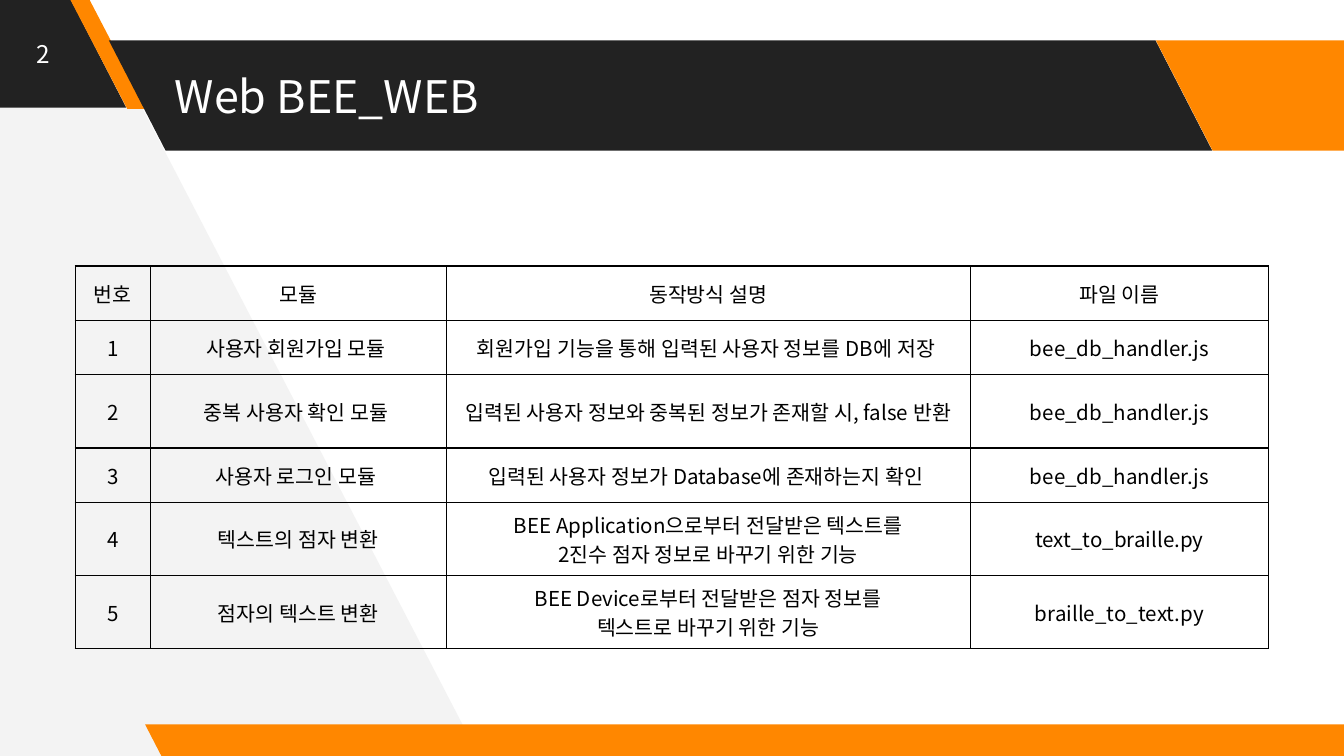
import pptx
import pptx.util
from lxml import etree
from pptx.dml.color import RGBColor
from pptx.enum.shapes import MSO_SHAPE
from pptx.enum.text import MSO_ANCHOR, MSO_AUTO_SIZE, PP_ALIGN
from pptx.oxml.ns import qn
from pptx.util import Inches

FONT = "Noto Sans CJK KR"
BLACK = RGBColor(0x00, 0x00, 0x00)
WHITE = RGBColor(0xFF, 0xFF, 0xFF)
DARK = RGBColor(0x22, 0x22, 0x22)
ORANGE = RGBColor(0xFF, 0x87, 0x00)
PALE = RGBColor(0xF3, 0xF3, 0xF3)

TITLE = "Web BEE_WEB"
NUMBER = "2"
HEADS = ["번호", "모듈", "동작방식 설명", "파일 이름"]
MODULES = [
    ("사용자 회원가입 모듈 ", "회원가입 기능을 통해 입력된 사용자 정보를 DB에 저장 ",
     "bee_db_handler.js"),
    ("중복 사용자 확인 모듈 ", "입력된 사용자 정보와 중복된 정보가 존재할 시, false 반환",
     "bee_db_handler.js"),
    ("사용자 로그인 모듈 ", "입력된 사용자 정보가 Database에 존재하는지 확인 ",
     "bee_db_handler.js"),
    ("텍스트의 점자 변환",
     "BEE Application으로부터 전달받은 텍스트를\n 2진수 점자 정보로 바꾸기 위한 기능 ",
     "text_to_braille.py"),
    ("점자의 텍스트 변환",
     "BEE Device로부터 전달받은 점자 정보를\n 텍스트로 바꾸기 위한 기능 ",
     "braille_to_text.py"),
]
COLS = [0.56, 2.2, 3.9, 2.22]
ROW = 2.43 / 6

WEDGE = [(3.56, 5.62), (0.62, -0.04), (-0.06, -0.04), (-0.02, 5.66)]
# left, top, width, height, slant, colour
BANDS = [
    (-0.99, -0.02, 1.93, 0.82, 0.515, DARK),
    (0.52, -0.01, 0.57, 0.82, 0.75, ORANGE),
    (0.81, 0.3, 8.21, 0.82, 0.515, DARK),
    (8.6, 0.3, 1.92, 0.82, 0.515, ORANGE),
    (1.08, 5.39, 9.15, 0.25, 0.515, ORANGE),
]


def paint(shape, color):
    shape.fill.solid()
    shape.fill.fore_color.rgb = color
    shape.line.fill.background()
    shape.shadow.inherit = False


def write(frame, text, size, color, align):
    frame.text = text
    for para in frame.paragraphs:
        para.alignment = align
        para.font.size = pptx.util.Pt(size)
        para.font.color.rgb = color
        para.font.name = FONT
        # Hangul takes the East Asian typeface
        latin = para._p.pPr.find(".//" + qn("a:latin"))
        east = etree.Element(qn("a:ea"), typeface=FONT)
        latin.addnext(east)


def pad(frame):
    frame.word_wrap = True
    frame.auto_size = MSO_AUTO_SIZE.NONE
    frame.vertical_anchor = MSO_ANCHOR.MIDDLE
    frame.margin_left = frame.margin_right = Inches(0.1)
    frame.margin_top = frame.margin_bottom = Inches(0.1)


def outline(cell):
    """Draw a thin black border on all four sides."""
    props = cell._tc.get_or_add_tcPr()
    for spot, side in enumerate(("a:lnL", "a:lnR", "a:lnT", "a:lnB")):
        line = etree.Element(qn(side), w=str(pptx.util.Pt(0.75)))
        fill = etree.SubElement(line, qn("a:solidFill"))
        etree.SubElement(fill, qn("a:srgbClr"), val=str(BLACK))
        props.insert(spot, line)


deck = pptx.Presentation()
deck.slide_width = Inches(10)
deck.slide_height = deck.slide_width * 9 // 16
slide = deck.slides.add_slide(deck.slide_layouts[5])
shapes = slide.shapes
title = shapes.title

points = [(Inches(x), Inches(y)) for x, y in WEDGE]
path = shapes.build_freeform(*points[0])
path.add_line_segments(points[1:], close=True)
paint(path.convert_to_shape(), PALE)

for *place, slant, color in BANDS:
    band = shapes.add_shape(MSO_SHAPE.PARALLELOGRAM, *map(Inches, place))
    band.adjustments[0] = slant
    band.element.spPr.xfrm.set("flipH", "1")
    paint(band, color)

shapes.element.append(title.element)  # bring the title above the bands
title.left, title.top = Inches(1.2), Inches(0.3)
title.width, title.height = Inches(8.28), Inches(0.82)
pad(title.text_frame)
write(title.text_frame, TITLE, 24, WHITE, PP_ALIGN.LEFT)

rows = [HEADS] + [(str(n), *module) for n, module in enumerate(MODULES, 1)]
table = shapes.add_table(len(rows), len(COLS), Inches(0.56), Inches(1.98),
                         Inches(sum(COLS)), Inches(ROW * len(rows))).table
table.first_row = table.horz_banding = False
for col, width in zip(table.columns, COLS):
    col.width = Inches(width)
for r, row in enumerate(rows):
    table.rows[r].height = Inches(ROW)
    for c, text in enumerate(row):
        cell = table.cell(r, c)
        cell.vertical_anchor = MSO_ANCHOR.MIDDLE
        cell.fill.background()
        outline(cell)
        write(cell.text_frame, text, 11, BLACK, PP_ALIGN.CENTER)

number = shapes.add_textbox(0, 0, Inches(0.65), Inches(0.8))
pad(number.text_frame)
write(number.text_frame, NUMBER, 13, WHITE, PP_ALIGN.CENTER)

deck.save("out.pptx")
